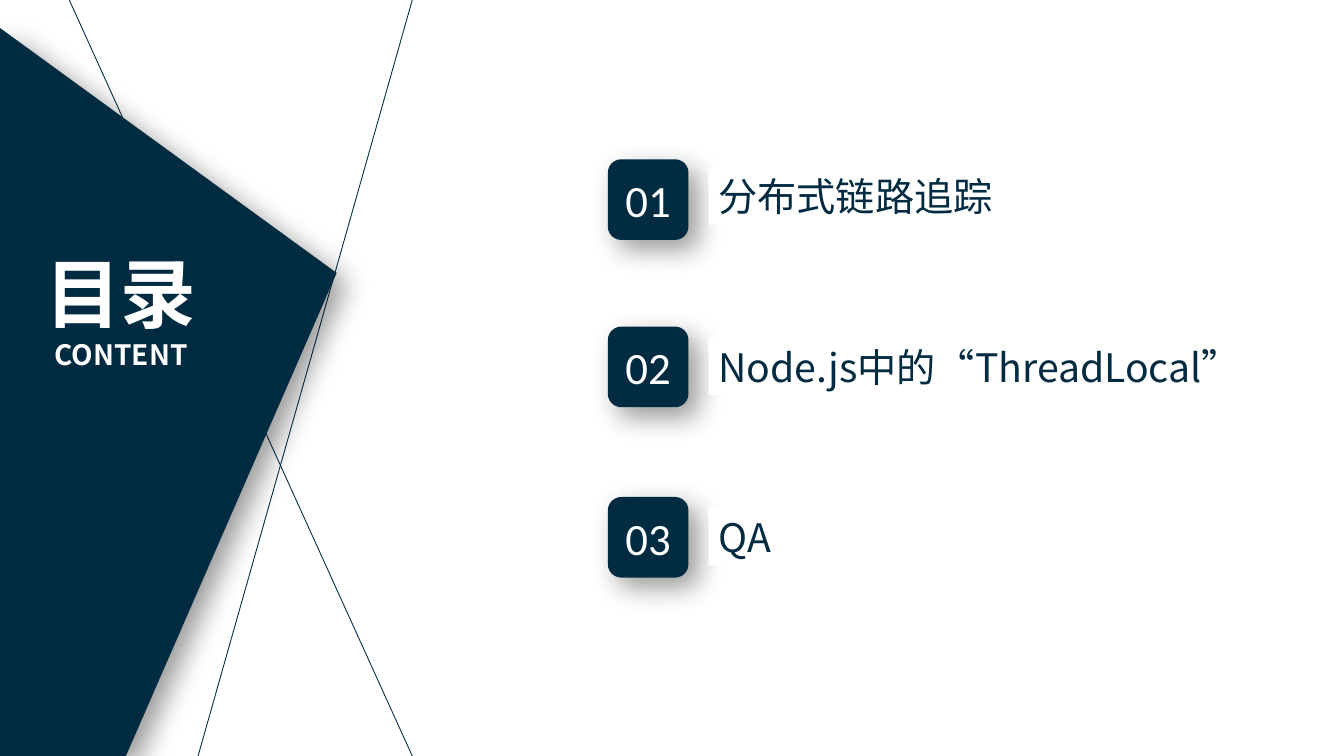
from dataclasses import dataclass

from lxml import etree
from pptx import Presentation
from pptx.dml.color import RGBColor
from pptx.enum.shapes import MSO_CONNECTOR, MSO_SHAPE
from pptx.enum.text import MSO_ANCHOR, PP_ALIGN
from pptx.oxml.ns import qn
from pptx.util import Pt

STRAIGHT = MSO_CONNECTOR.STRAIGHT
ROUNDED = MSO_SHAPE.ROUNDED_RECTANGLE
RECTANGLE = MSO_SHAPE.RECTANGLE
MIDDLE = MSO_ANCHOR.MIDDLE
LEFT, CENTER = PP_ALIGN.LEFT, PP_ALIGN.CENTER


@dataclass(frozen=True)
class Theme:
    """Colours, fonts and type sizes of the slide."""

    navy: RGBColor = RGBColor(0x00, 0x2B, 0x41)
    white: RGBColor = RGBColor(0xFF, 0xFF, 0xFF)
    text_font: str = "Noto Sans CJK SC"
    number_font: str = "Calibri"
    title_size: int = 54
    subtitle_size: int = 20
    number_size: int = 32
    label_size: int = 28
    line_width: float = 0.63


THEME = Theme()
AGENDA = (
    ("01", "分布式链路追踪", 113.8, 277),
    ("02", "Node.js中的“ThreadLocal”", 233.3, 411),
    ("03", "QA", 355, 277),
)


def paint(shape, color):
    """Fill a shape with a flat colour, without outline or shadow."""
    shape.fill.solid()
    shape.fill.fore_color.rgb = color
    shape.line.fill.background()
    shape.shadow.inherit = False


def add_soft_shadow(shape):
    """Give a painted shape a soft shadow to the lower right."""
    effects = shape._element.spPr.find(qn("a:effectLst"))
    shadow = etree.SubElement(
        effects, qn("a:outerShdw"), blurRad=str(Pt(20)), dist=str(Pt(10)),
        dir="2700000", algn="tl", rotWithShape="0")
    color = etree.SubElement(shadow, qn("a:srgbClr"), val="000000")
    etree.SubElement(color, qn("a:alpha"), val="40000")


def style_paragraph(paragraph, size, color, font_name, alignment, bold=False):
    """Format a paragraph and its runs for Latin and Chinese text."""
    paragraph.alignment = alignment
    for run in paragraph.runs:
        run.font.size = Pt(size)
        run.font.bold = bold
        run.font.color.rgb = color
        run.font.name = font_name
        etree.SubElement(run.font._element, qn("a:ea"), typeface=font_name)


def add_rays(slide, left, top, width, height):
    """Draw the two thin lines that cross behind the panel."""
    right, bottom = left + width, top + height
    for start_y, end_x, end_y in ((top, left + 92, bottom), (bottom, left, top)):
        ray = slide.shapes.add_connector(
            STRAIGHT, Pt(right), Pt(start_y), Pt(end_x), Pt(end_y))
        ray.line.color.rgb = THEME.navy
        ray.line.width = Pt(THEME.line_width)
        etree.SubElement(ray._element.spPr, qn("a:effectLst"))


def add_title_panel(slide, left, top, width, height):
    """Draw the angled panel with the title and its translation."""
    bottom = top + height
    builder = slide.shapes.build_freeform(Pt(left + 90), Pt(bottom))
    builder.add_line_segments([
        (Pt(left), Pt(bottom)),
        (Pt(left), Pt(top)),
        (Pt(left + width), Pt(top + 175)),
    ], close=True)
    panel = builder.convert_to_shape()
    paint(panel, THEME.navy)
    add_soft_shadow(panel)

    title_box = slide.shapes.add_textbox(
        Pt(left + 17.3), Pt(top + 152.8), Pt(138.2), Pt(97.2))
    frame = title_box.text_frame
    frame.word_wrap = True
    frame.text = "目录\nCONTENT"
    sizes = (THEME.title_size, THEME.subtitle_size)
    for paragraph, size in zip(frame.paragraphs, sizes):
        style_paragraph(paragraph, size, THEME.white, THEME.text_font, CENTER, True)


def add_badge(slide, left, top, size, number):
    """Draw a rounded badge with its number."""
    badge = slide.shapes.add_shape(ROUNDED, Pt(left), Pt(top), Pt(size), Pt(size))
    paint(badge, THEME.navy)
    add_soft_shadow(badge)
    frame = badge.text_frame
    frame.word_wrap = False
    frame.vertical_anchor = MIDDLE
    frame.text = number
    style_paragraph(frame.paragraphs[0], THEME.number_size, THEME.white,
                    THEME.number_font, CENTER)


def add_label(slide, left, top, width, height, text):
    """Draw an agenda label on a white ground."""
    label = slide.shapes.add_shape(
        RECTANGLE, Pt(left), Pt(top), Pt(width), Pt(height))
    paint(label, THEME.white)
    frame = label.text_frame
    frame.word_wrap = True
    frame.vertical_anchor = MIDDLE
    frame.text = text
    style_paragraph(frame.paragraphs[0], THEME.label_size, THEME.navy,
                    THEME.text_font, LEFT)


def add_agenda(slide, left, top, pitch):
    """Place a badge and a label for every agenda entry."""
    for index, (number, text, badge_top, label_width) in enumerate(AGENDA):
        add_badge(slide, left, badge_top, 57.6, number)
        add_label(slide, left + 72, top + index * pitch, label_width, 41, text)


def main():
    """Build the contents slide and save it."""
    presentation = Presentation()
    presentation.slide_width = Pt(960)
    presentation.slide_height = Pt(540)
    slide = presentation.slides.add_slide(presentation.slide_layouts[6])
    add_rays(slide, 49.5, 0, 245, 540)
    add_title_panel(slide, 0, 20, 240.5, 520)
    add_agenda(slide, 434.2, 119.5, 121.7)
    presentation.save("out.pptx")


if __name__ == "__main__":
    main()
